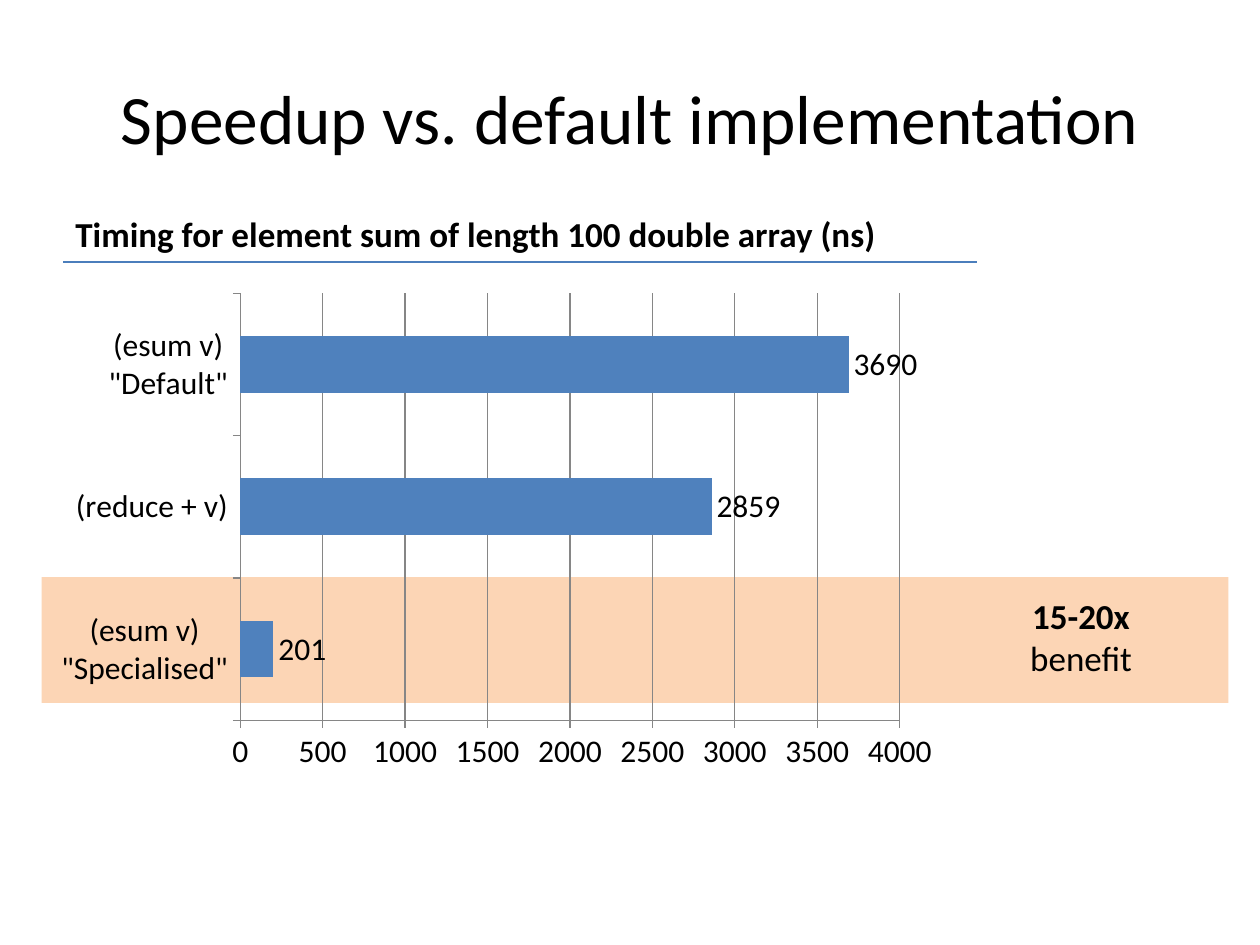
from lxml.etree import SubElement
from pptx import Presentation
from pptx.chart.data import CategoryChartData
from pptx.dml.color import RGBColor
from pptx.enum.chart import XL_CHART_TYPE as ChartType, XL_LABEL_POSITION as LabelPosition
from pptx.enum.chart import XL_TICK_MARK as TickMark
from pptx.enum.shapes import MSO_CONNECTOR as Connector, MSO_SHAPE as Shape
from pptx.enum.text import MSO_ANCHOR as Anchor, PP_ALIGN as Align
from pptx.oxml.ns import qn
from pptx.util import Inches, Pt

FONT = "Calibri"
TIMINGS = {
    '(esum v)\n"Specialised"': 201,
    "(reduce + v)": 2859,
    '(esum v)\n"Default"': 3690,
}


def rgb(color):
    """Turn a hex string into a colour."""
    return RGBColor.from_string(color)


def apply_font(font, color="000000", **values):
    """Set the shared typeface, the colour and any other font values."""
    for name, value in {"name": FONT, **values}.items():
        setattr(font, name, value)
    font.color.rgb = rgb(color)


def add_text(slide, box, lines, size, align=Align.LEFT, anchor=Anchor.TOP):
    """Write (text, bold) lines into a box."""
    frame = slide.shapes.add_textbox(*map(Inches, box)).text_frame
    frame.word_wrap = True
    frame.vertical_anchor = anchor
    for index, (text, bold) in enumerate(lines):
        paragraph = frame.add_paragraph() if index else frame.paragraphs[0]
        paragraph.alignment = align
        run = paragraph.add_run()
        run.text = text
        apply_font(run.font, size=Pt(size), bold=bold)


def add_highlight(slide, box):
    """Draw the band behind the fastest timing with its benefit note."""
    left, top, width, height = box
    band = slide.shapes.add_shape(Shape.RECTANGLE, *map(Inches, box))
    band.shadow.inherit = False
    band.fill.solid()
    band.fill.fore_color.rgb = rgb("FCD5B5")
    band.line.fill.background()
    note = (left + 7.25, top + 0.09, 2, 0.77)
    add_text(slide, note, [("15-20x", True), ("benefit", False)], 20, Align.CENTER)


def add_heading(slide, box):
    """Write the chart heading with a rule along its lower edge."""
    left, top, width, height = box
    add_text(slide, box, [("Timing for element sum of length 100 double array (ns)", True)], 20)
    bottom = top + height
    rule = slide.shapes.add_connector(
        Connector.STRAIGHT, *map(Inches, (left, bottom, left + width, bottom)))
    rule.line.color.rgb = rgb("4B7EBC")
    rule.line.width = Pt(0.75)
    SubElement(rule._element.spPr, qn("a:effectLst"))


def set_plot_layout(chart, **fractions):
    """Fix the inner plot area as fractions of the chart frame."""
    area = chart._chartSpace.chart.plotArea
    for old in area.findall(qn("c:layout")):
        area.remove(old)
    layout = SubElement(area, qn("c:layout"))
    area.insert(0, layout)
    manual = SubElement(layout, qn("c:manualLayout"))
    values = {"layoutTarget": "inner", "xMode": "edge", "yMode": "edge", **fractions}
    for name, value in values.items():
        SubElement(manual, qn(f"c:{name}")).set("val", str(value))


def add_timing_chart(slide, box):
    """Add the bar chart of timings."""
    data = CategoryChartData()
    data.categories = list(TIMINGS)
    data.add_series("Series 1", list(TIMINGS.values()))
    chart = slide.shapes.add_chart(ChartType.BAR_CLUSTERED, *map(Inches, box), data).chart
    chart.has_legend = chart.has_title = False
    apply_font(chart.font, size=Pt(18))
    plot = chart.plots[0]
    for name, value in {"gap_width": 150, "vary_by_categories": False,
                        "has_data_labels": True}.items():
        setattr(plot, name, value)
    plot.data_labels.show_value = True
    plot.data_labels.position = LabelPosition.OUTSIDE_END
    fill = plot.series[0].format.fill
    fill.solid()
    fill.fore_color.rgb = rgb("4F81BD")
    scale = chart.value_axis
    for name, value in {"minimum_scale": 0, "maximum_scale": 4000, "major_unit": 500,
                        "has_major_gridlines": True}.items():
        setattr(scale, name, value)
    for axis in (chart.category_axis, scale):
        axis.major_tick_mark = TickMark.OUTSIDE
        axis.format.line.color.rgb = rgb("868686")
    scale.major_gridlines.format.line.color.rgb = rgb("868686")
    set_plot_layout(chart, x=0.22, y=0.02, w=0.73, h=0.86)


def build():
    """Build the slide and save it."""
    presentation = Presentation()
    presentation.slide_width, presentation.slide_height = Inches(10), Inches(7.5)
    slide = presentation.slides.add_slide(presentation.slide_layouts[6])
    add_highlight(slide, (0.33, 4.58, 9.42, 1))
    add_text(slide, (0.5, 0.3, 9, 1.25), [("Speedup vs. default implementation", False)],
             39.6, Align.CENTER, Anchor.MIDDLE)
    add_timing_chart(slide, (0.33, 2.25, 7.17, 3.94))
    add_heading(slide, (0.5, 1.64, 7.25, 0.44))
    presentation.save("out.pptx")


build()
